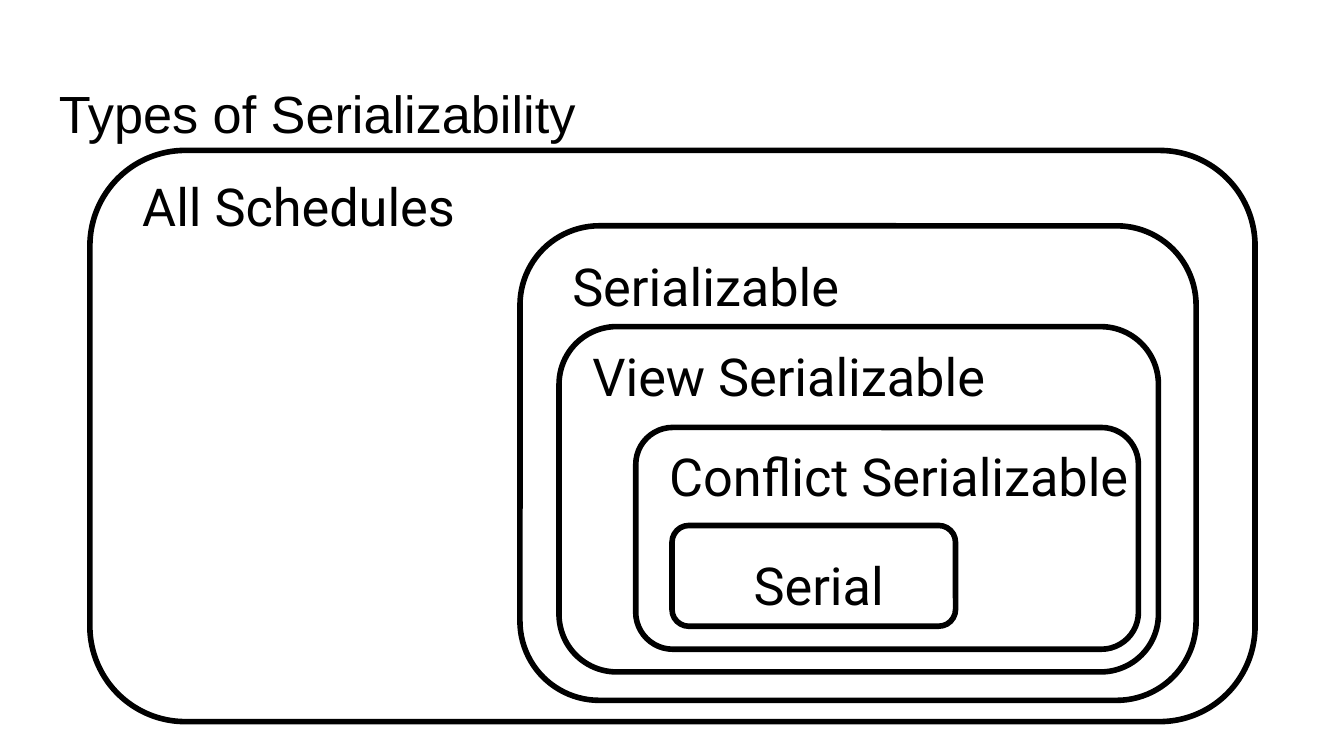
from dataclasses import dataclass

from pptx import Presentation
from pptx.dml.color import RGBColor
from pptx.enum.shapes import MSO_SHAPE
from pptx.enum.text import MSO_ANCHOR
from pptx.util import Pt

ROUNDED = MSO_SHAPE.ROUNDED_RECTANGLE
TOP = MSO_ANCHOR.TOP
MIDDLE = MSO_ANCHOR.MIDDLE
BLANK_LAYOUT = 6


@dataclass(frozen=True)
class Theme:
    ink: RGBColor = RGBColor(0, 0, 0)
    title_font: str = "Arial"
    label_font: str = "Roboto"
    text_size: float = 28
    line_width: float = 3
    corner: float = 0.167
    side_inset: float = 7.2
    label_inset: float = 3.6
    title_spacing: float = 1.15


class SlideBuilder:
    def __init__(self, slide, theme):
        self.slide = slide
        self.theme = theme

    def text(self, words, left, top, width, height, font, inset, anchor):
        box = self.slide.shapes.add_textbox(Pt(left), Pt(top), Pt(width), Pt(height))
        frame = box.text_frame
        frame.word_wrap = True
        frame.vertical_anchor = anchor
        frame.margin_left = frame.margin_right = Pt(self.theme.side_inset)
        frame.margin_top = frame.margin_bottom = Pt(inset)
        paragraph = frame.paragraphs[0]
        run = paragraph.add_run()
        run.text = words
        run.font.name = font
        run.font.size = Pt(self.theme.text_size)
        run.font.color.rgb = self.theme.ink
        return paragraph

    def title(self, words, left, top, width, height):
        theme = self.theme
        paragraph = self.text(words, left, top, width, height,
                              theme.title_font, theme.side_inset, MIDDLE)
        paragraph.line_spacing = theme.title_spacing

    def label(self, words, left, top, width, height=31):
        theme = self.theme
        self.text(words, left, top, width, height,
                  theme.label_font, theme.label_inset, TOP)

    def outline(self, left, top, width, height):
        shape = self.slide.shapes.add_shape(
            ROUNDED, Pt(left), Pt(top), Pt(width), Pt(height))
        shape.adjustments[0] = self.theme.corner
        shape.shadow.inherit = False
        shape.fill.background()
        shape.line.color.rgb = self.theme.ink
        shape.line.width = Pt(self.theme.line_width)


SCHEDULE_CLASSES = [
    ("All Schedules", (48.2, 80.6, 624.2, 306), (69.1, 90, 185.8)),
    ("Serializable", (278.6, 121, 362.2, 254.2), (299.5, 132.5, 252)),
    ("View Serializable", (299.5, 175, 321.1, 185), (310.3, 180.7, 252)),
    ("Conflict Serializable", (340.6, 229, 269.3, 118.8), (351.4, 234.7, 304.6)),
    ("Serial", (360, 281.5, 151.9, 54), (396.7, 293, 105.8)),
]


def main():
    presentation = Presentation()
    presentation.slide_width = Pt(720)
    presentation.slide_height = Pt(405)
    slide = presentation.slides.add_slide(presentation.slide_layouts[BLANK_LAYOUT])
    builder = SlideBuilder(slide, Theme())
    builder.title("Types of Serializability", 24.5, 35.3, 671, 45.4)
    for words, outline_box, label_box in SCHEDULE_CLASSES:
        builder.outline(*outline_box)
        builder.label(words, *label_box)
    presentation.save("out.pptx")


if __name__ == "__main__":
    main()
